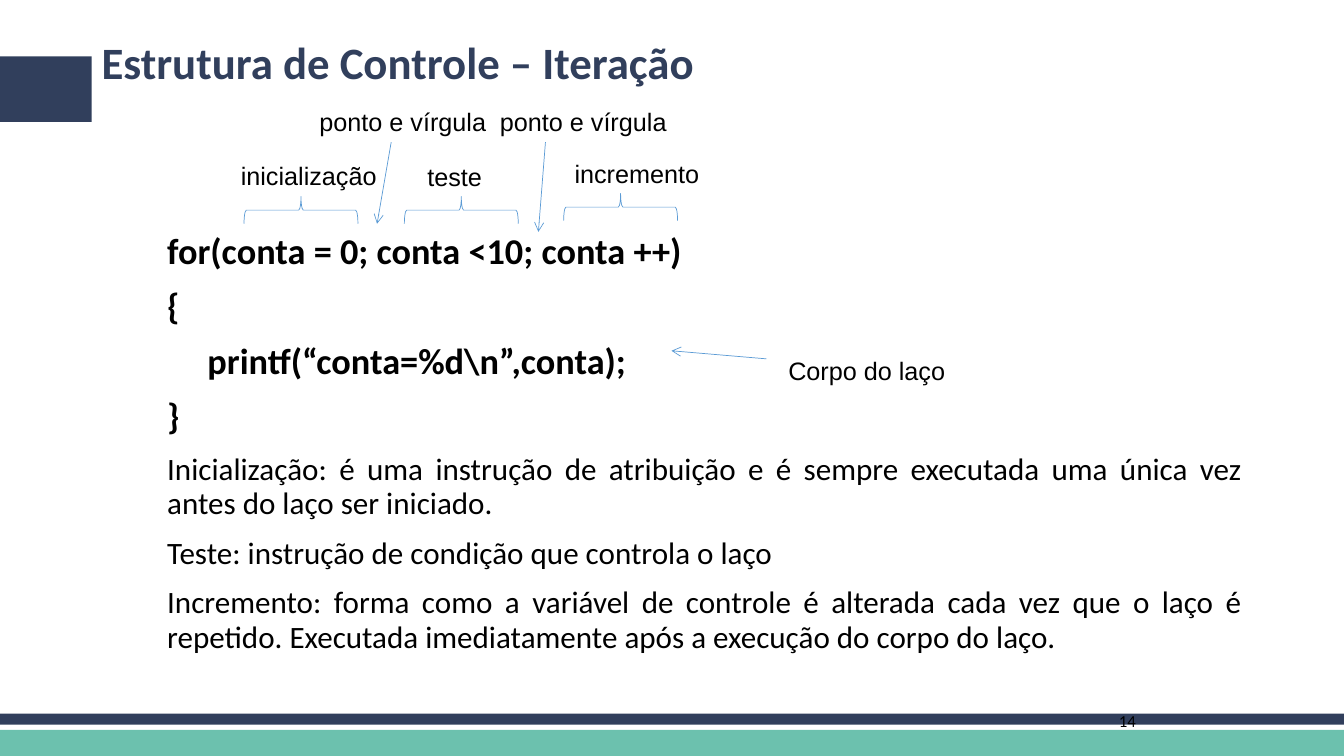
from dataclasses import dataclass

from lxml import etree
from pptx import Presentation
from pptx import util as u
from pptx.dml.color import RGBColor
from pptx.enum import shapes, text
from pptx.oxml.ns import qn


@dataclass(frozen=True)
class Theme:
    navy: str = "313F5C"
    teal: str = "6CC1AE"
    blue: str = "5B9BD5"
    black: str = "000000"
    heading_font: str = "Calibri"
    label_font: str = "Arial"
    title_size: float = 32
    code_size: float = 25.9
    body_size: float = 22.2
    label_size: float = 18
    number_size: float = 12
    line_width: float = 0.5


class SlideBuilder:
    def __init__(self, page, theme):
        self.page = page
        self.theme = theme

    def bar(self, left, top, width, height, color):
        bar = self.page.shapes.add_shape(
            shapes.MSO_SHAPE.RECTANGLE, *map(u.Inches, (left, top, width, height)))
        bar.shadow.inherit = False
        bar.fill.solid()
        bar.fill.fore_color.rgb = RGBColor.from_string(color)
        bar.line.fill.background()

    def brace(self, left, top, width, height):
        """Brace pointing up; the box given is the one seen after rotation."""
        center_x, center_y = left + width / 2, top + height / 2
        brace = self.page.shapes.add_shape(
            shapes.MSO_SHAPE.LEFT_BRACE, u.Inches(center_x - height / 2),
            u.Inches(center_y - width / 2), u.Inches(height), u.Inches(width))
        brace.rotation = 90
        brace.shadow.inherit = False
        brace.fill.background()
        self.style_line(brace.line)

    def arrow(self, start, end):
        arrow = self.page.shapes.add_connector(
            shapes.MSO_CONNECTOR.STRAIGHT, *map(u.Inches, (*start, *end)))
        self.style_line(arrow.line)
        properties = arrow._element.spPr
        etree.SubElement(properties.find(qn("a:ln")), qn("a:tailEnd"), type="arrow")
        etree.SubElement(properties, qn("a:effectLst"))

    def style_line(self, line):
        line.color.rgb = RGBColor.from_string(self.theme.blue)
        line.width = u.Pt(self.theme.line_width)

    def box(self, left, top, width, height, wrap=True):
        box = self.page.shapes.add_textbox(*map(u.Inches, (left, top, width, height)))
        box.text_frame.word_wrap = wrap
        return box.text_frame

    def set_text(self, para, words, size, font=None, color=None, bold=False):
        para.text = words
        para.font.size = u.Pt(size)
        para.font.name = font or self.theme.heading_font
        para.font.bold = bold
        para.font.color.rgb = RGBColor.from_string(color or self.theme.black)

    def title(self, words):
        para = self.box(0.91, 0.36, 11.5, 1.05).paragraphs[0]
        para.line_spacing = 0.9
        self.set_text(para, words, self.theme.title_size, color=self.theme.navy, bold=True)

    def label(self, words, left, top, width):
        frame = self.box(left, top, width, 0.4, wrap=False)
        frame.auto_size = text.MSO_AUTO_SIZE.SHAPE_TO_FIT_TEXT
        self.set_text(frame.paragraphs[0], words, self.theme.label_size, self.theme.label_font)

    def page_number(self, number):
        frame = self.box(11, 6.95, 2.33, 0.4)
        frame.vertical_anchor = text.MSO_ANCHOR.MIDDLE
        self.set_text(frame.paragraphs[0], number, self.theme.number_size)

    def body(self, code, notes):
        """Code lines are (indent, words); notes are justified paragraphs."""
        frame = self.box(1.56, 2.25, 10.86, 4.33)
        for index, (indent, words) in enumerate(code + [(0, note) for note in notes]):
            para = frame.add_paragraph() if index else frame.paragraphs[0]
            para.line_spacing = 0.93
            para.space_before = u.Pt(10.5 if index else 0)
            if index < len(code):
                self.set_text(para, words, self.theme.code_size, bold=True)
            else:
                self.set_text(para, words, self.theme.body_size)
                para.alignment = text.PP_ALIGN.JUSTIFY
            if indent:
                para._p.get_or_add_pPr().set("marL", str(u.Inches(indent)))


CODE = [
    (0, "for(conta = 0; conta <10; conta ++)"),
    (0, "{"),
    (0.4, "printf(“conta=%d\\n”,conta);"),
    (0, "}"),
]
NOTES = [
    "Inicialização: é uma instrução de atribuição e é sempre executada uma única vez "
    "antes do laço ser iniciado.",
    "Teste: instrução de condição que controla o laço",
    "Incremento: forma como a variável de controle é alterada cada vez que o laço é "
    "repetido. Executada imediatamente após a execução do corpo do laço.",
]
LABELS = [
    ("inicialização", 2.29, 1.54, 1.56),
    ("ponto e vírgula", 3.07, 1.01, 1.87),
    ("teste", 4.14, 1.55, 0.75),
    ("ponto e vírgula", 4.86, 1.01, 1.87),
    ("incremento", 5.6, 1.52, 1.45),
    ("Corpo do laço", 7.72, 3.48, 1.77),
]
BRACES = [(2.42, 1.95), (4.01, 1.95), (5.59, 1.92)]
ARROWS = [
    ((3.88, 1.41), (3.74, 2.22)),
    ((5.41, 1.41), (5.34, 2.3)),
    ((7.6, 3.56), (6.66, 3.48)),
]


def main():
    deck = Presentation()
    deck.slide_width, deck.slide_height = u.Inches(13.33), u.Inches(7.5)
    theme = Theme()
    slide = SlideBuilder(deck.slides.add_slide(deck.slide_layouts[6]), theme)

    # Footer bands and title tab
    slide.bar(0, 7.24, 13.33, 0.26, theme.teal)
    slide.bar(0, 7.08, 13.33, 0.11, theme.navy)
    slide.bar(0, 0.56, 0.91, 0.65, theme.navy)

    # Main text
    slide.body(CODE, NOTES)
    slide.title("Estrutura de Controle – Iteração")
    slide.page_number("14")

    # Annotations on the loop
    for label in LABELS:
        slide.label(*label)
    for left, top in BRACES:
        slide.brace(left, top, 1.13, 0.27)
    for start, end in ARROWS:
        slide.arrow(start, end)

    deck.save("out.pptx")


if __name__ == "__main__":
    main()
